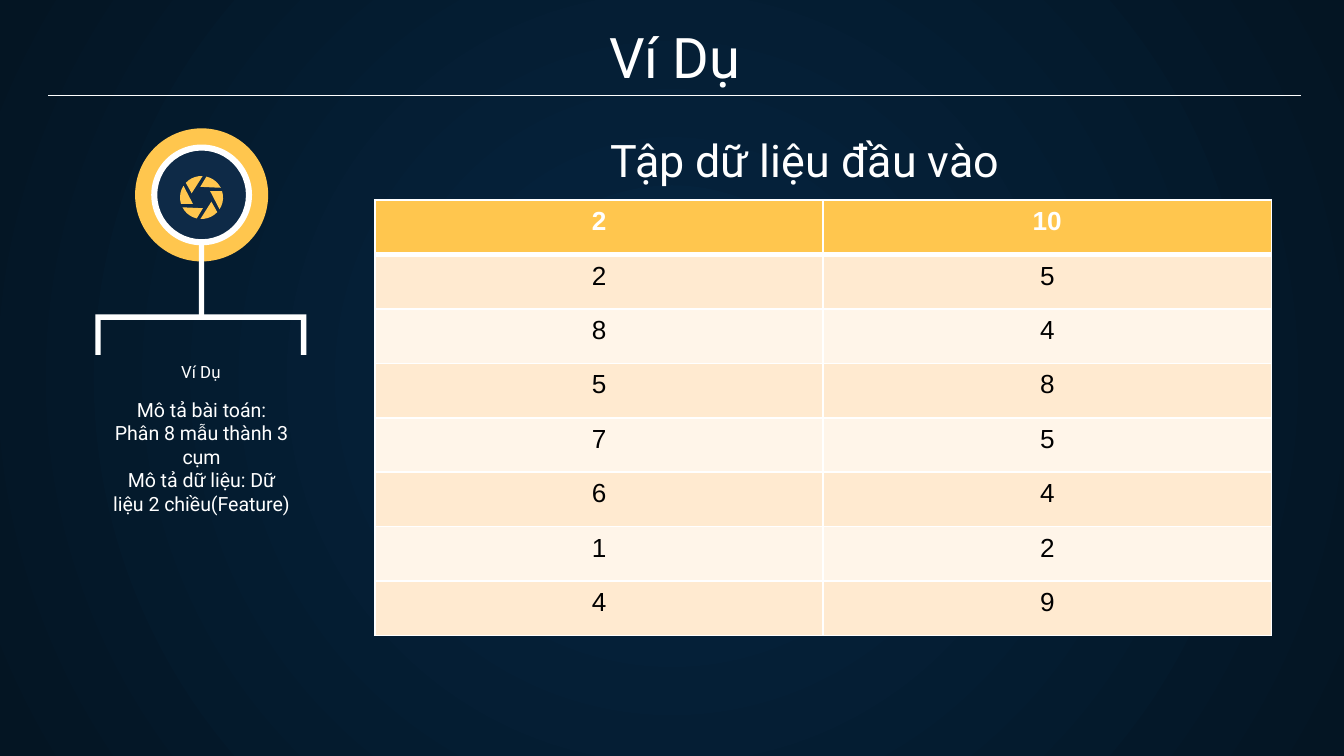
from math import cos, radians, sin

from lxml.etree import SubElement
from pptx import Presentation
from pptx.dml.color import RGBColor
from pptx.enum.shapes import MSO_CONNECTOR, MSO_SHAPE
from pptx.enum.text import MSO_ANCHOR, MSO_AUTO_SIZE, PP_ALIGN
from pptx.oxml.ns import qn
from pptx.util import Inches, Pt

WHITE = RGBColor(0xFF, 0xFF, 0xFF)
BLACK = RGBColor(0, 0, 0)
GOLD = RGBColor(0xFF, 0xC6, 0x4E)
NAVY = RGBColor(0x0E, 0x2A, 0x47)
BANDS = RGBColor(0xFF, 0xEA, 0xD0), RGBColor(0xFF, 0xF5, 0xE9)
GLOW = RGBColor(0x05, 0x26, 0x43), RGBColor(0x04, 0x15, 0x23)

TITLE = ["Ví Dụ"]
CAPTION = ["Ví Dụ"]
HEADING = ["Tập dữ liệu đầu vào"]
BODY = ["Mô tả bài toán: Phân 8 mẫu thành 3 cụm",
        "Mô tả dữ liệu: Dữ liệu 2 chiều(Feature)"]
SAMPLES = [(2, 10), (2, 5), (8, 4), (5, 8), (7, 5), (6, 4), (1, 2), (4, 9)]

W = 10
H = W * 9 / 16
MID = 1.5
BADGE_Y, IRIS_Y, IRIS_R = 1.45, 1.47, 0.16
STROKE = 0.04


def box(x, y, w, h):
    return [Inches(v) for v in (x, y, w, h)]


def write(sp, area, lines, size, anchor=MSO_ANCHOR.BOTTOM):
    sp.left, sp.top, sp.width, sp.height = box(*area)
    tf = sp.text_frame
    form = {"word_wrap": True, "auto_size": MSO_AUTO_SIZE.NONE, "vertical_anchor": anchor}
    form.update({f"margin_{side}": Inches(0.1) for side in ("left", "top", "right", "bottom")})
    for key, value in form.items():
        setattr(tf, key, value)
    tf.text = "\n".join(lines)
    for p in tf.paragraphs:
        p.alignment = PP_ALIGN.CENTER
        p.space_before = Pt(0)
        style(p.runs[0], name="Roboto", size=Pt(size), bold=False)


def style(r, color=WHITE, **form):
    for key, value in form.items():
        setattr(r.font, key, value)
    r.font.color.rgb = color


def paint(sp, color):
    sp.shadow.inherit = False
    sp.fill.solid()
    sp.fill.fore_color.rgb = color
    sp.line.fill.background()
    return sp


def centred(shapes, kind, y, w, h, color):
    return paint(shapes.add_shape(kind, *box(MID - w / 2, y - h / 2, w, h)), color)


def outline(shapes, points, color):
    corners = [(Inches(x), Inches(y)) for x, y in points]
    fb = shapes.build_freeform(*corners[0])
    fb.add_line_segments(corners[1:], close=True)
    return paint(fb.convert_to_shape(), color)


def backdrop(s):
    fill = s.background.fill
    fill.gradient()
    for stop, color in zip(fill.gradient_stops, GLOW):
        stop.color.rgb = color
    grad = s.element.find(".//" + qn("a:gradFill"))
    grad.remove(grad.find(qn("a:lin")))
    center = SubElement(grad, qn("a:path"), {"path": "circle"})
    SubElement(center, qn("a:fillToRect"), dict.fromkeys("ltrb", "50000"))


def badge(shapes):
    left, right, top, bottom = 0.71, 2.28, 2.34, 2.64
    outline(shapes, [(left, top), (right, top), (right, bottom), (right - STROKE, bottom),
                     (right - STROKE, top + STROKE), (left + STROKE, top + STROKE),
                     (left + STROKE, bottom), (left, bottom)], WHITE)
    centred(shapes, MSO_SHAPE.OVAL, BADGE_Y, 0.99, 0.99, GOLD)
    stem = centred(shapes, MSO_SHAPE.ROUNDED_RECTANGLE, 1.88, STROKE, 1, WHITE)
    stem.adjustments[0] = 0.5
    centred(shapes, MSO_SHAPE.OVAL, BADGE_Y, 0.7, 0.7, NAVY)
    ring = centred(shapes, MSO_SHAPE.DONUT, BADGE_Y, 0.75, 0.75, WHITE)
    ring.adjustments[0] = 0.06
    iris = shapes.add_group_shape().shapes
    blade = [(0.08, 23)] + [(IRIS_R, angle) for angle in range(43, 94, 10)]
    for turn in range(0, 360, 60):
        outline(iris, [(MID + radius * cos(radians(angle + turn)),
                        IRIS_Y + radius * sin(radians(angle + turn)))
                       for radius, angle in blade], GOLD)


def border(cell, widths):
    pr = cell._tc.get_or_add_tcPr()
    for side, width in zip("LRTB", widths):
        ln = SubElement(pr, qn(f"a:ln{side}"), {"w": str(Pt(width))})
        SubElement(SubElement(ln, qn("a:solidFill")), qn("a:srgbClr"), {"val": str(WHITE)})


def sample_table(shapes):
    rows, cols = len(SAMPLES), len(SAMPLES[0])
    table = shapes.add_table(rows, cols, *box(2.79, 1.49, 6.67, 3.24)).table
    for i, sample in enumerate(SAMPLES):
        head = i == 0
        for j, value in enumerate(sample):
            cell = table.cell(i, j)
            border(cell, (1, 1, 3 if i == 1 else 1, 3 if head else 1))
            cell.fill.solid()
            cell.fill.fore_color.rgb = GOLD if head else BANDS[(i - 1) % 2]
            cell.text = str(value)
            p = cell.text_frame.paragraphs[0]
            p.alignment = PP_ALIGN.CENTER
            style(p.runs[0], WHITE if head else BLACK, name="Arial", size=Pt(14), bold=head)


def main():
    """Build the slide with the sample data table."""
    prs = Presentation()
    prs.slide_width, prs.slide_height = Inches(W), Inches(H)
    s = prs.slides.add_slide(prs.slide_layouts[0])
    backdrop(s)
    write(s.shapes.title, (0.36, 0.11, 9.32, 0.66), TITLE, 30)
    write(s.placeholders[1], (0.74, 2.86, 1.52, 0.55), BODY, 10.5, MSO_ANCHOR.TOP)
    write(s.shapes.add_textbox(0, 0, 0, 0), (0.36, 2.73, 2.27, 0.21), CAPTION, 9)
    badge(s.shapes)
    rule = s.shapes.add_connector(MSO_CONNECTOR.STRAIGHT, *box(0.36, 0.71, 9.68, 0.71))
    rule.line.color.rgb = WHITE
    rule.line.width = Pt(0.75)
    SubElement(rule._element.spPr, qn("a:effectLst"))
    sample_table(s.shapes)
    write(s.shapes.add_textbox(0, 0, 0, 0), (4.18, 0.99, 3.62, 0.5), HEADING, 24)
    prs.save("out.pptx")


if __name__ == "__main__":
    main()
